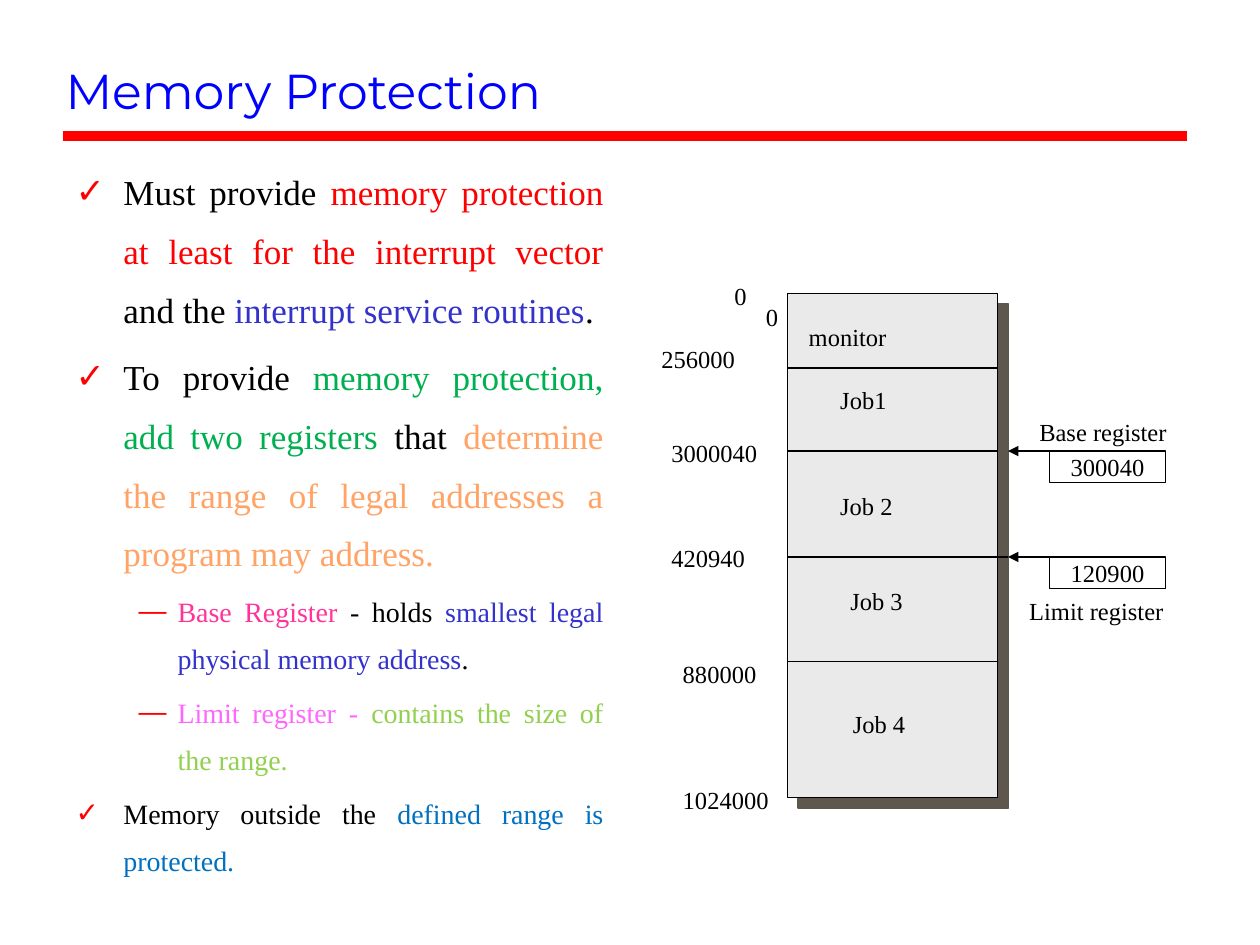
import pptx
import pptx.util
import pptx.dml.color
import pptx.enum.shapes
import pptx.enum.text
import pptx.oxml
import pptx.oxml.ns

Inches = pptx.util.Inches
Pt = pptx.util.Pt
RGBColor = pptx.dml.color.RGBColor
PP_ALIGN = pptx.enum.text.PP_ALIGN
MSO_ANCHOR = pptx.enum.text.MSO_ANCHOR
MSO_AUTO_SIZE = pptx.enum.text.MSO_AUTO_SIZE
MSO_SHAPE = pptx.enum.shapes.MSO_SHAPE

BLACK = RGBColor(0x00, 0x00, 0x00)
RED = RGBColor(0xFF, 0x00, 0x00)
BLUE = RGBColor(0x00, 0x00, 0xFF)
INDIGO = RGBColor(0x33, 0x33, 0xCC)
GREEN = RGBColor(0x00, 0xB0, 0x50)
ORANGE = RGBColor(0xFF, 0xA3, 0x66)
PINK = RGBColor(0xFF, 0x33, 0x99)
VIOLET = RGBColor(0xFF, 0x66, 0xFF)
LIME = RGBColor(0x92, 0xD0, 0x50)
SKY = RGBColor(0x00, 0x70, 0xC0)
MEMORY_GRAY = RGBColor(0xEA, 0xEA, 0xEA)

TITLE_FONT = "Montserrat"
TEXT_FONT = "Times New Roman"
NAMESPACE = pptx.oxml.ns.nsdecls("a")


def add_run(paragraph, text, size, color, font=TEXT_FONT):
    run = paragraph.add_run()
    run.text = text
    run.font.name = font
    run.font.size = Pt(size)
    run.font.color.rgb = color


def add_line(x1, y1, x2, y2, color=BLACK, width=0.75, arrow=False):
    line = slide.shapes.add_connector(
        pptx.enum.shapes.MSO_CONNECTOR.STRAIGHT,
        Inches(x1), Inches(y1), Inches(x2), Inches(y2))
    line.line.color.rgb = color
    line.line.width = Pt(width)
    properties = line._element.spPr
    properties.append(pptx.oxml.parse_xml(f"<a:effectLst {NAMESPACE}/>"))
    if arrow:
        line.line._get_or_add_ln().append(pptx.oxml.parse_xml(
            f'<a:tailEnd {NAMESPACE} type="triangle"/>'))


presentation = pptx.Presentation()
presentation.slide_width = Inches(10)
presentation.slide_height = Inches(7.5)
slide = presentation.slides.add_slide(presentation.slide_layouts[1])

# Title and rule
add_line(0.5, 1.08, 9.42, 1.08, RED, 6)
title = slide.shapes.title
title.left, title.top = Inches(0.42), Inches(0.3)
title.width, title.height = Inches(9), Inches(0.7)
title.text_frame.vertical_anchor = MSO_ANCHOR.BOTTOM
title.text_frame.auto_size = MSO_AUTO_SIZE.NONE
paragraph = title.text_frame.paragraphs[0]
paragraph.alignment = PP_ALIGN.LEFT
add_run(paragraph, "Memory Protection", 28, BLUE, TITLE_FONT)

# Bullet list: level, size, space before, runs
bullets = [
    (0, 20, 0, [("Must provide ", BLACK),
                ("memory protection at least for the interrupt vector ", RED),
                ("and the ", BLACK),
                ("interrupt service routines", INDIGO),
                (".", BLACK)]),
    (0, 20, 5, [("To provide ", BLACK),
                ("memory protection, add two registers ", GREEN),
                ("that ", BLACK),
                ("determine the range of legal addresses a program may address.",
                 ORANGE)]),
    (1, 16, 4, [("Base Register ", PINK),
                ("- holds ", BLACK),
                ("smallest legal physical memory address", INDIGO),
                (".", BLACK)]),
    (1, 16, 4, [("Limit register - ", VIOLET),
                ("contains the size of the range.", LIME)]),
    (0, 16, 4, [("Memory outside the ", BLACK),
                ("defined range is protected.", SKY)]),
]
# Per level: bullet character, left margin, hanging indent
level_styles = [("✓", 0.38, 0.38), ("—", 0.81, 0.31)]

body = slide.placeholders[1]
body.left, body.top = Inches(0.5), Inches(1.17)
body.width, body.height = Inches(4.39), Inches(6.17)
body.text_frame.auto_size = MSO_AUTO_SIZE.NONE
for index, (level, size, space_before, runs) in enumerate(bullets):
    if index == 0:
        paragraph = body.text_frame.paragraphs[0]
    else:
        paragraph = body.text_frame.add_paragraph()
    character, margin, hanging = level_styles[level]
    paragraph.level = level
    paragraph.alignment = PP_ALIGN.JUSTIFY
    paragraph.line_spacing = 1.4
    paragraph.space_before = Pt(space_before)
    properties = paragraph._p.get_or_add_pPr()
    properties.set("marL", str(Inches(margin)))
    properties.set("indent", str(-Inches(hanging)))
    properties.append(pptx.oxml.parse_xml(
        f'<a:buClr {NAMESPACE}><a:srgbClr val="{RED}"/></a:buClr>'))
    properties.append(pptx.oxml.parse_xml(
        f'<a:buChar {NAMESPACE} char="{character}"/>'))
    for text, color in runs:
        add_run(paragraph, text, size, color)

# Memory block with its hard shadow and partitions
memory = slide.shapes.add_shape(
    MSO_SHAPE.RECTANGLE, Inches(6.25), Inches(2.33), Inches(1.67), Inches(4))
memory.fill.solid()
memory.fill.fore_color.rgb = MEMORY_GRAY
memory.line.color.rgb = BLACK
memory.line.width = Pt(0.75)
memory._element.spPr.append(pptx.oxml.parse_xml(
    f'<a:effectLst {NAMESPACE}><a:outerShdw dist="{Pt(8.5)}" dir="2700000" '
    'algn="ctr" rotWithShape="0"><a:srgbClr val="5E574E"/></a:outerShdw>'
    '</a:effectLst>'))
for y, right in [(2.92, 7.92), (3.58, 7.92), (4.42, 8), (5.25, 7.92)]:
    add_line(6.25, y, right, y)

# Registers and their arrows to the memory block
for value, y in [("300040", 3.58), ("120900", 4.42)]:
    register = slide.shapes.add_shape(
        MSO_SHAPE.RECTANGLE, Inches(8.33), Inches(y), Inches(0.92), Inches(0.25))
    register.shadow.inherit = False
    register.fill.background()
    register.line.color.rgb = BLACK
    register.line.width = Pt(0.75)
    register.text_frame.word_wrap = False
    register.text_frame.vertical_anchor = MSO_ANCHOR.MIDDLE
    paragraph = register.text_frame.paragraphs[0]
    paragraph.alignment = PP_ALIGN.CENTER
    add_run(paragraph, value, 14, BLACK)
    add_line(8.33, y, 8, y, arrow=True)

# Addresses, register names and partition names
labels = [
    ("0", 5.73, 2.18, 0.35),
    ("0", 5.98, 2.35, 0.35),
    ("256000", 5.15, 2.68, 0.85),
    ("3000040", 5.23, 3.43, 0.95),
    ("420940", 5.23, 4.26, 0.85),
    ("880000", 5.32, 5.18, 0.85),
    ("1024000", 5.32, 6.18, 0.95),
    ("Base register", 8.15, 3.26, 1.3),
    ("Limit register", 8.07, 4.68, 1.35),
    ("monitor", 6.32, 2.51, 0.9),
    ("Job1", 6.57, 3.01, 0.65),
    ("Job 2", 6.57, 3.85, 0.7),
    ("Job 3", 6.65, 4.6, 0.7),
    ("Job 4", 6.67, 5.58, 0.7),
]
for text, left, top, width in labels:
    label = slide.shapes.add_textbox(
        Inches(left), Inches(top), Inches(width), Inches(0.34))
    label.text_frame.word_wrap = True
    label.text_frame.auto_size = MSO_AUTO_SIZE.SHAPE_TO_FIT_TEXT
    add_run(label.text_frame.paragraphs[0], text, 14, BLACK)

presentation.save("out.pptx")
